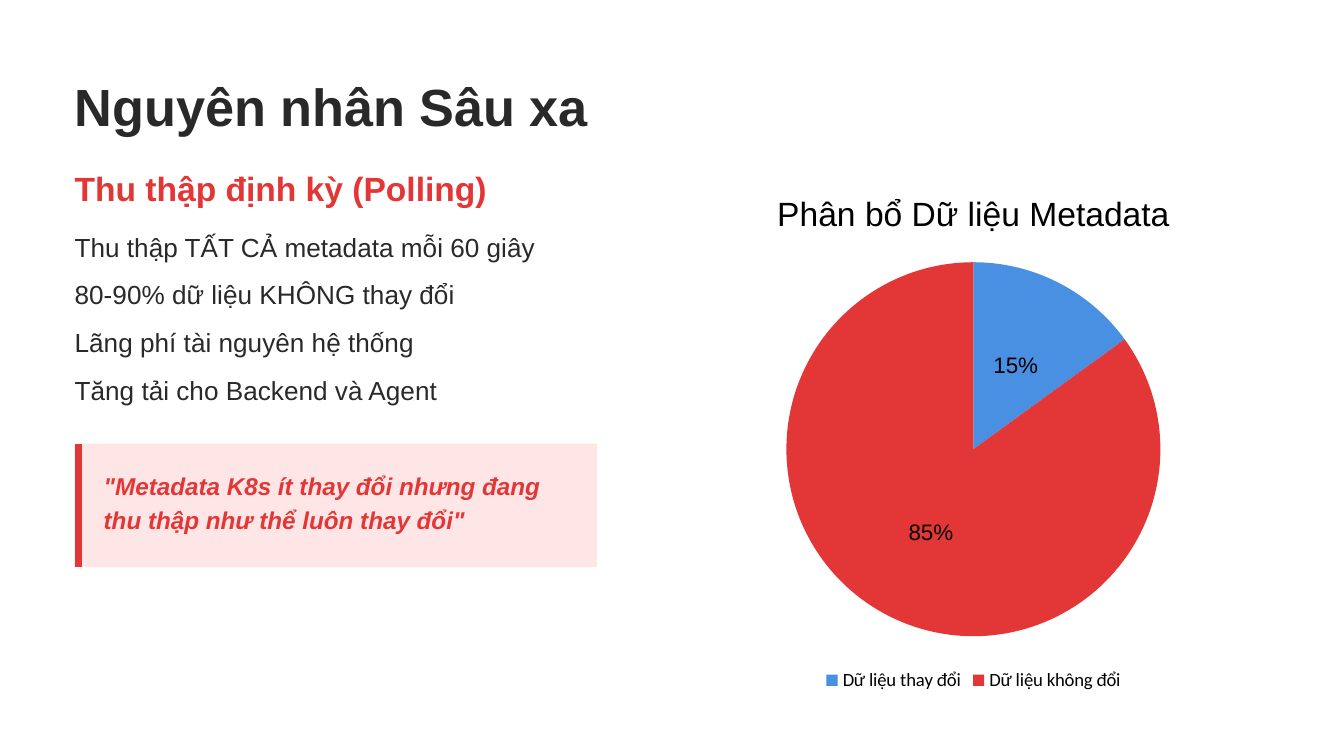
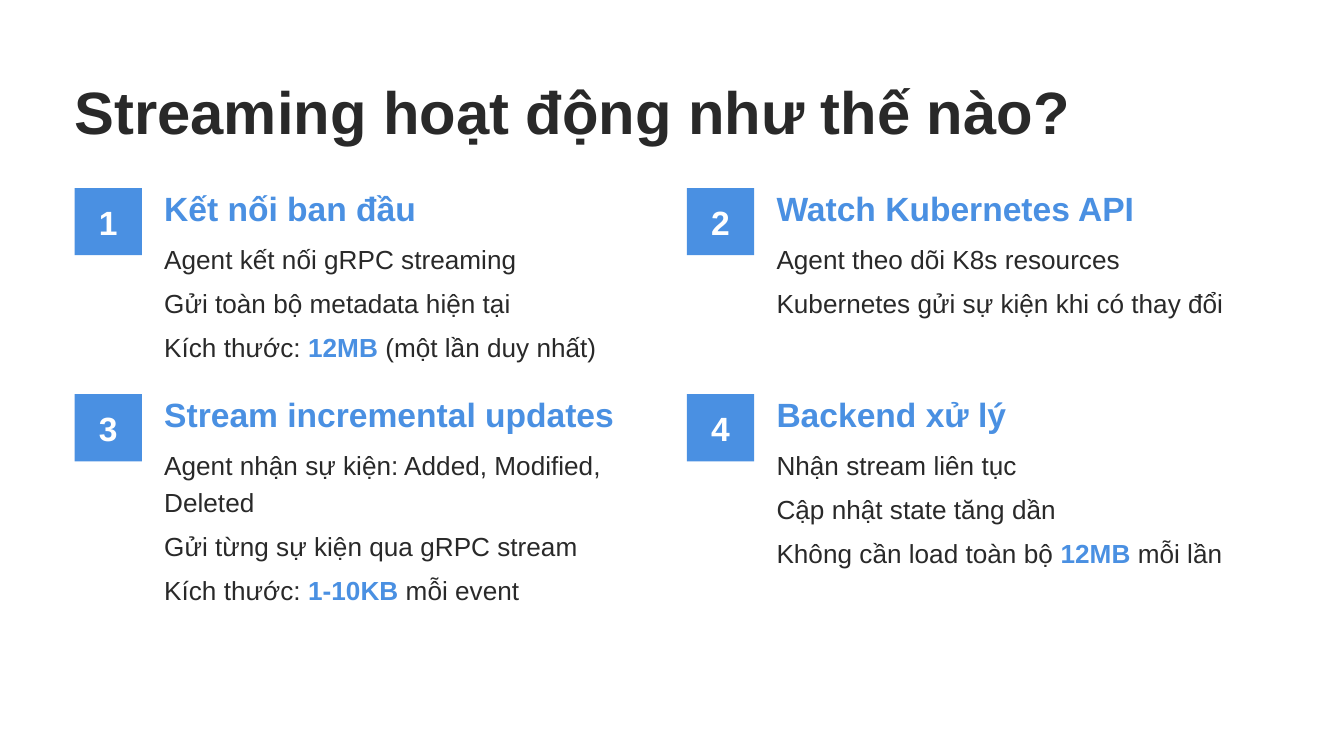
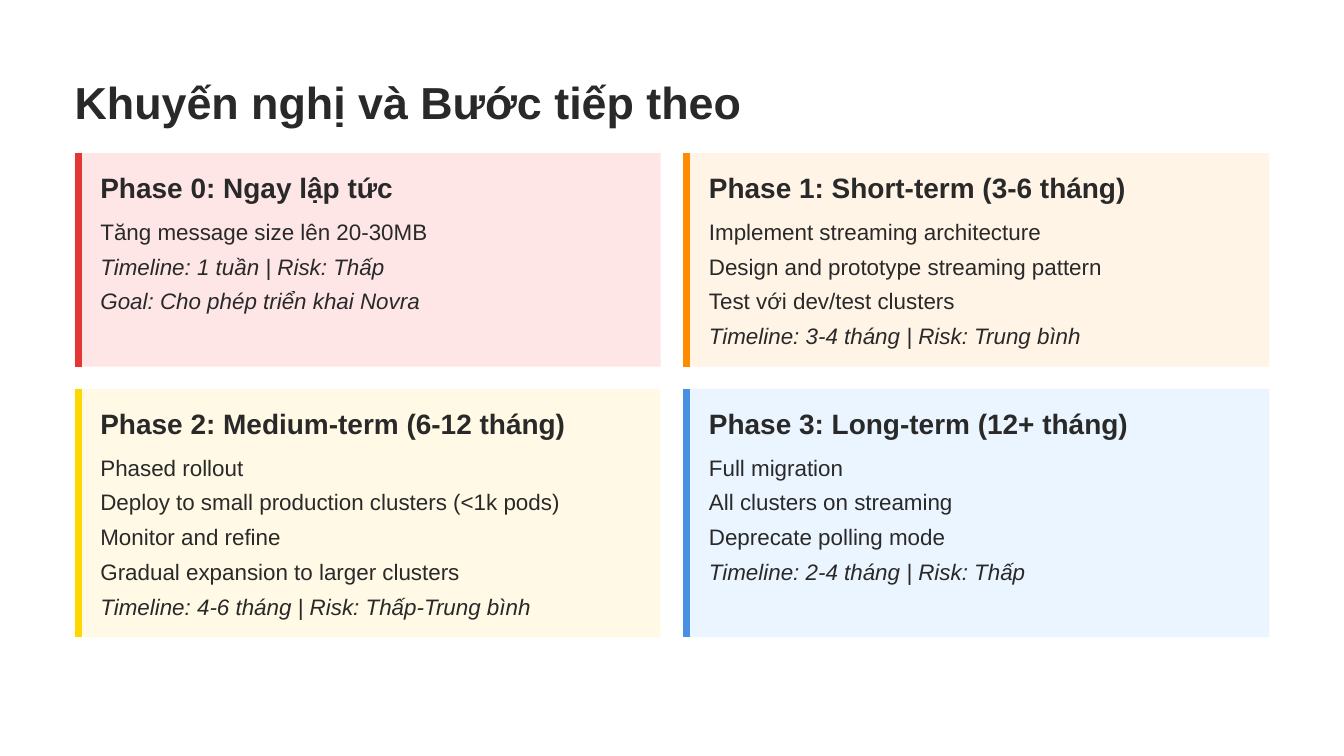
import math

import pptx
import pptx.chart.data
import pptx.dml.color
import pptx.enum.chart
import pptx.enum.shapes
import pptx.oxml
import pptx.util

Pt = pptx.util.Pt

INK, RED, BLUE, WHITE, BLACK = "292929", "E33737", "4A90E2", "FFFFFF", "000000"
PALE_RED = "FFE6E6"
FONT = "Arial"
LEFT, TOP = 40, 40

CAUSE = {
    "title": "Nguyên nhân Sâu xa",
    "heading": "Thu thập định kỳ (Polling)",
    "points": [
        "Thu thập TẤT CẢ metadata mỗi 60 giây",
        "80-90% dữ liệu KHÔNG thay đổi",
        "Lãng phí tài nguyên hệ thống",
        "Tăng tải cho Backend và Agent",
    ],
    "quote": '"Metadata K8s ít thay đổi nhưng đang thu thập như thể luôn thay đổi"',
    "chart_title": "Phân bổ Dữ liệu Metadata",
    "shares": [("Dữ liệu thay đổi", 15, BLUE), ("Dữ liệu không đổi", 85, RED)],
}

# In a line made of several parts, every second part is highlighted.
STREAMING_TITLE = "Streaming hoạt động như thế nào?"
STEPS = [
    ("Kết nối ban đầu", [
        ("Agent kết nối gRPC streaming",),
        ("Gửi toàn bộ metadata hiện tại",),
        ("Kích thước: ", "12MB", " (một lần duy nhất)"),
    ]),
    ("Watch Kubernetes API", [
        ("Agent theo dõi K8s resources",),
        ("Kubernetes gửi sự kiện khi có thay đổi",),
    ]),
    ("Stream incremental updates", [
        ("Agent nhận sự kiện: Added, Modified, Deleted",),
        ("Gửi từng sự kiện qua gRPC stream",),
        ("Kích thước: ", "1-10KB", " mỗi event"),
    ]),
    ("Backend xử lý", [
        ("Nhận stream liên tục",),
        ("Cập nhật state tăng dần",),
        ("Không cần load toàn bộ ", "12MB", " mỗi lần"),
    ]),
]

ROADMAP_TITLE = "Khuyến nghị và Bước tiếp theo"
PHASES = [
    ("Phase 0: Ngay lập tức", RED, PALE_RED, [
        "Tăng message size lên 20-30MB",
        "Timeline: 1 tuần | Risk: Thấp",
        "Goal: Cho phép triển khai Novra",
    ]),
    ("Phase 1: Short-term (3-6 tháng)", "FF8C00", "FFF4E6", [
        "Implement streaming architecture",
        "Design and prototype streaming pattern",
        "Test với dev/test clusters",
        "Timeline: 3-4 tháng | Risk: Trung bình",
    ]),
    ("Phase 2: Medium-term (6-12 tháng)", "FFD700", "FFF9E6", [
        "Phased rollout",
        "Deploy to small production clusters (<1k pods)",
        "Monitor and refine",
        "Gradual expansion to larger clusters",
        "Timeline: 4-6 tháng | Risk: Thấp-Trung bình",
    ]),
    ("Phase 3: Long-term (12+ tháng)", BLUE, "EBF5FF", [
        "Full migration",
        "All clusters on streaming",
        "Deprecate polling mode",
        "Timeline: 2-4 tháng | Risk: Thấp",
    ]),
]


def rgb(value):
    return pptx.dml.color.RGBColor.from_string(value)


def style_font(font, size, color, name=FONT, bold=False, italic=False):
    font.size, font.name, font.bold, font.italic = Pt(size), name, bold, italic
    font.color.rgb = rgb(color)


def add_text(slide, parts, x, y, width, height, size, color=INK, bold=False,
             italic=False, leading=None, after=0):
    """Add one paragraph; every second part of it is bold blue."""
    frame = slide.shapes.add_textbox(Pt(x), Pt(y), Pt(width), Pt(height)).text_frame
    frame.word_wrap = True
    frame.margin_left = frame.margin_top = frame.margin_right = frame.margin_bottom = 0
    paragraph = frame.paragraphs[0]
    paragraph.space_after = Pt(after)
    if leading:
        paragraph.line_spacing = Pt(leading)
    for index, part in enumerate([parts] if isinstance(parts, str) else parts):
        run = paragraph.add_run()
        run.text = part
        highlighted = index % 2 == 1
        style_font(run.font, size, BLUE if highlighted else color,
                   bold=bold or highlighted, italic=italic)


def add_title(slide, title, size):
    add_text(slide, title, LEFT, TOP, 653, size * 1.15, size, bold=True)


def add_block(slide, x, y, width, height, color):
    block = slide.shapes.add_shape(pptx.enum.shapes.MSO_SHAPE.RECTANGLE,
                                   Pt(x), Pt(y), Pt(width), Pt(height))
    block.shadow.inherit = False
    block.fill.solid()
    block.fill.fore_color.rgb = rgb(color)
    block.line.fill.background()


def add_card(slide, x, y, width, height, accent, fill):
    """Add a tinted block with a thick accent line on its left edge."""
    add_block(slide, x, y, width, height, fill)
    edge_x = Pt(x + 1.88)
    edge = slide.shapes.add_connector(pptx.enum.shapes.MSO_CONNECTOR.STRAIGHT,
                                      edge_x, Pt(y), edge_x, Pt(y + height))
    edge.line.color.rgb = rgb(accent)
    edge.line.width = Pt(3.75)
    edge._element.spPr.append(pptx.oxml.parse_xml(
        '<a:effectLst xmlns:a="http://schemas.openxmlformats.org/drawingml/2006/main"/>'))


def add_share_chart(slide, x, y, width, height):
    data = pptx.chart.data.CategoryChartData()
    data.categories = [name for name, _, _ in CAUSE["shares"]]
    data.add_series("Series 1", [share for _, share, _ in CAUSE["shares"]])
    chart = slide.shapes.add_chart(pptx.enum.chart.XL_CHART_TYPE.PIE, Pt(x), Pt(y),
                                   Pt(width), Pt(height), data).chart
    style_font(chart.font, 10, BLACK, name="Calibri")
    chart.has_title = True
    heading = chart.chart_title.text_frame
    heading.text = CAUSE["chart_title"]
    style_font(heading.paragraphs[0].runs[0].font, 18, BLACK)
    chart.chart_title.include_in_layout = False
    chart.has_legend = True
    chart.legend.position = pptx.enum.chart.XL_LEGEND_POSITION.BOTTOM
    chart.legend.include_in_layout = False

    pie = chart.plots[0]
    pie.vary_by_categories = True
    series = pie.series[0]
    series.format.line.color.rgb = rgb("F9F9F9")
    series.format.line.width = Pt(0.75)
    for index, (_, _, color) in enumerate(CAUSE["shares"]):
        fill = series.points[index].format.fill
        fill.solid()
        fill.fore_color.rgb = rgb(color)
    pie.has_data_labels = True
    labels = pie.data_labels
    labels.show_percentage, labels.show_value = True, False
    labels.number_format, labels.number_format_is_linked = "0%", False
    labels.position = pptx.enum.chart.XL_LABEL_POSITION.CENTER
    style_font(labels.font, 12, BLACK)


def build_cause(slide):
    add_title(slide, CAUSE["title"], 28)
    add_text(slide, CAUSE["heading"], LEFT, 90, 286, 21, 18, RED, bold=True, after=10)
    leading, after = 19.6, 6
    for index, point in enumerate(CAUSE["points"]):
        add_text(slide, point, LEFT, 121 + index * (leading + after), 286, leading,
                 14, leading=leading, after=after)
    add_card(slide, LEFT, 237.6, 280, 66.2, RED, PALE_RED)
    add_text(slide, CAUSE["quote"], 55.6, 250, 257, 36.6, 13, RED, bold=True,
             italic=True, leading=18.2, after=6)
    add_share_chart(slide, 350, 90, 343, 283)


def build_streaming(slide):
    add_title(slide, STREAMING_TITLE, 32)
    badge, leading, after, line_length = 36, 19.6, 4, 40
    for index, (heading, details) in enumerate(STEPS):
        row, column = divmod(index, 2)
        x, y = LEFT + column * 328, 100.8 + row * 110.4
        add_block(slide, x, y, badge, badge, BLUE)
        add_text(slide, str(index + 1), x + 13, y + 7.5, 10, 21, 18, WHITE, bold=True)
        text_x = x + badge + 12
        add_text(slide, heading, text_x, y, 269, 21, 18, BLUE, bold=True, after=6)
        detail_y = y + 26.8
        for detail in details:
            height = math.ceil(len("".join(detail)) / line_length) * leading
            add_text(slide, detail, text_x, detail_y, 269, height, 14,
                     leading=leading, after=after)
            detail_y += height + after


def build_roadmap(slide):
    add_title(slide, ROADMAP_TITLE, 24)
    leading, after, gap = 15.6, 3, 12
    pitch = leading + after
    y = 82
    for first in range(0, len(PHASES), 2):
        row = PHASES[first:first + 2]
        height = 40 + pitch * max(len(tasks) for *_, tasks in row)
        for column, (heading, accent, fill, tasks) in enumerate(row):
            x = LEFT + column * (314 + gap)
            add_card(slide, x, y, 314, height, accent, fill)
            add_text(slide, heading, x + 13.8, y + 9.6, 296, 17.3, 15, bold=True, after=6)
            for index, task in enumerate(tasks):
                add_text(slide, task, x + 13.8, y + 33.6 + index * pitch, 296, leading,
                         12, italic=task.startswith(("Timeline:", "Goal:")),
                         leading=leading, after=after)
        y += height + gap


def main():
    deck = pptx.Presentation()
    deck.slide_width, deck.slide_height = Pt(720), Pt(405)
    for build in (build_cause, build_streaming, build_roadmap):
        slide = deck.slides.add_slide(deck.slide_layouts[6])
        slide.background.fill.solid()
        slide.background.fill.fore_color.rgb = rgb(WHITE)
        build(slide)
    deck.save("out.pptx")


if __name__ == "__main__":
    main()
